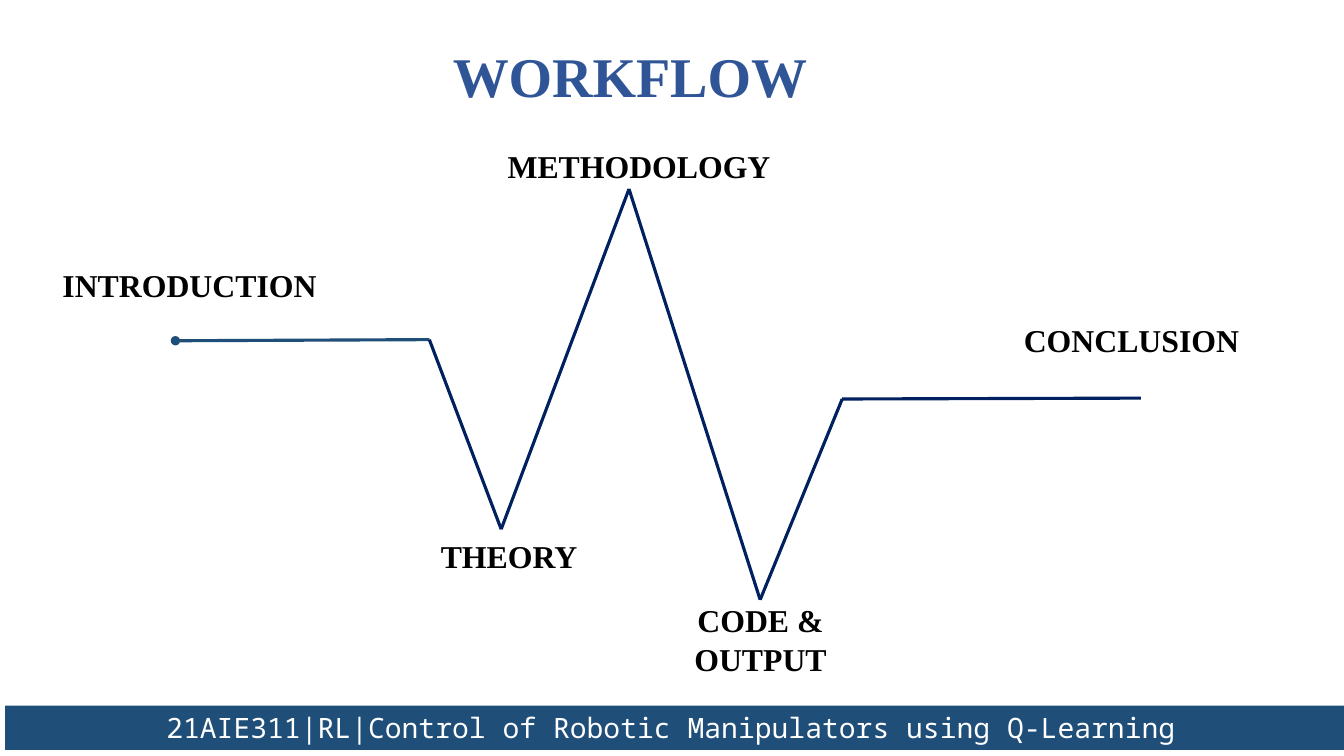
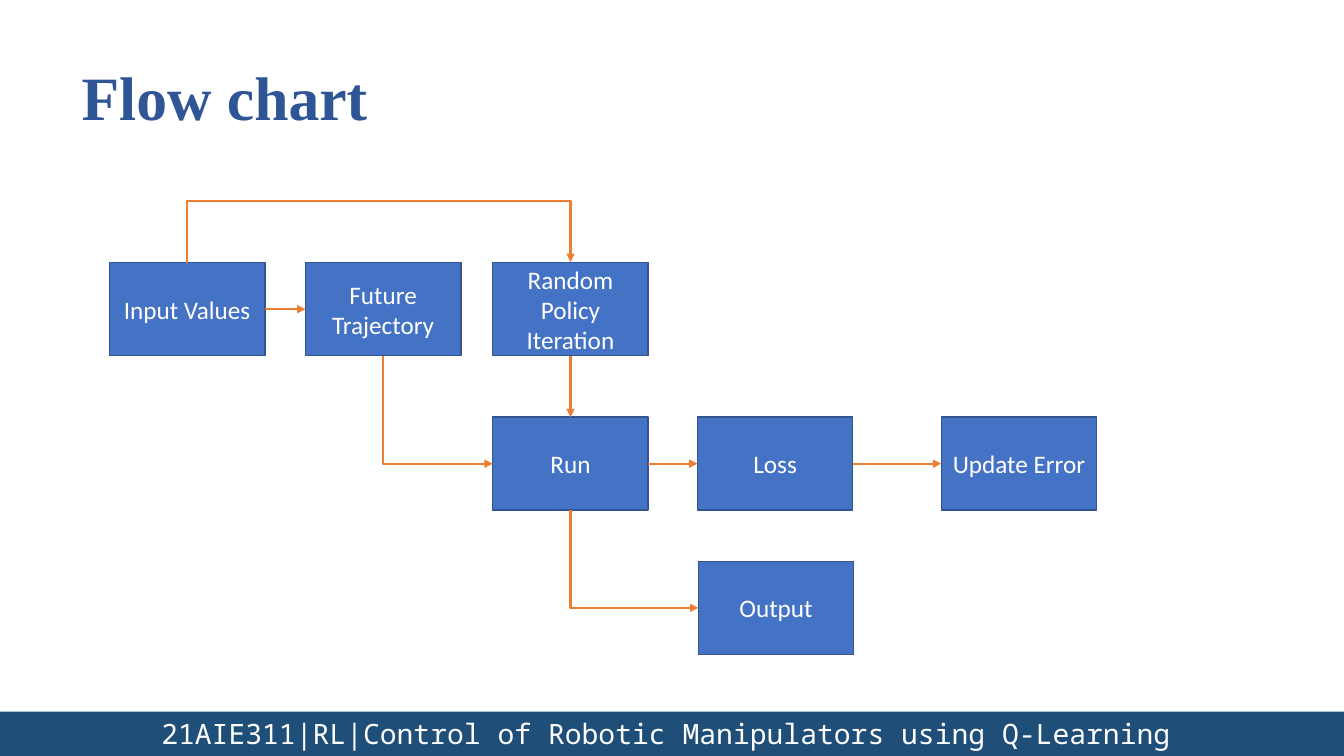
"""Build the workflow and flow chart slides of a Q-learning talk."""
from dataclasses import dataclass
from itertools import pairwise

from lxml import etree
from pptx import Presentation
from pptx import presentation as decks
from pptx.dml.color import RGBColor
from pptx.enum import shapes, text
from pptx.oxml import ns
from pptx.shapes.autoshape import Shape
from pptx.shapes.connector import Connector
from pptx.slide import Slide
from pptx.text.text import TextFrame
from pptx.util import Length, Pt

NAVY = RGBColor(0x00, 0x20, 0x60)
BAND_BLUE = RGBColor(0x1F, 0x4E, 0x79)
TITLE_BLUE = RGBColor(0x2F, 0x55, 0x97)
STEP_BLUE = RGBColor(0x44, 0x72, 0xC4)
STEP_EDGE = RGBColor(0x32, 0x54, 0x91)
ORANGE = RGBColor(0xED, 0x7D, 0x31)
BLACK = RGBColor(0, 0, 0)
WHITE = RGBColor(255, 255, 255)
SERIF, SANS, MONO = "Times New Roman", "Calibri", "Noto Sans Mono"

SLIDE_WIDTH, SLIDE_HEIGHT = Pt(960), Pt(540)
BAND_HEIGHT = Pt(31.7)
WIDE_INSET = 9.6
STEP_WIDTH, STEP_HEIGHT = Pt(111), Pt(66.4)
TOP, LEFT, BOTTOM, RIGHT = range(4)
ROUTE_RISE = 45
FOOTER = "21AIE311|RL|Control of Robotic Manipulators using Q-Learning"


@dataclass(frozen=True)
class Font:
    """A text style."""
    face: str
    size: float
    color: RGBColor
    bold: bool = False


@dataclass(frozen=True)
class Area:
    """A rectangle in points."""
    left: float
    top: float
    width: float
    height: float


@dataclass(frozen=True)
class Stage:
    """A workflow label and its place."""
    name: str
    area: Area


@dataclass(frozen=True)
class Step:
    """A flow chart box and its top left corner."""
    name: str
    left: float
    top: float


@dataclass(frozen=True)
class Link:
    """An arrow between the sides of two steps."""
    source: str
    source_side: int
    target: str
    target_side: int


STAGE_FONT = Font(SERIF, 22.7, BLACK, True)
STEP_FONT = Font(SANS, 18, WHITE)
FOOTER_FONT = Font(MONO, 20, WHITE)

STAGES = (
    Stage("INTRODUCTION", Area(25.9, 180, 218.9, 46.8)),
    Stage("THEORY", Area(231.1, 373.7, 265, 48.2)),
    Stage("METHODOLOGY", Area(350.6, 95, 211.7, 46.8)),
    Stage("CODE & OUTPUT", Area(483.8, 419.8, 118.8, 74.2)),
    Stage("CONCLUSION", Area(689, 219.6, 238.3, 46.8)),
)
PULSE = ((125.3, 243.4), (306.7, 242.6), (358, 378), (449.3, 135),
         (543, 428.4), (601.6, 285), (815, 284.4))

STEPS = (
    Step("Input Values", 78.2, 187.7),
    Step("Future Trajectory", 218.2, 187.7),
    Step("Random Policy Iteration", 352, 187.7),
    Step("Run", 352, 298),
    Step("Loss", 498.2, 298),
    Step("Update Error", 672.4, 298),
    Step("Output", 498.8, 401),
)
LINKS = (
    Link("Input Values", RIGHT, "Future Trajectory", LEFT),
    Link("Future Trajectory", BOTTOM, "Run", LEFT),
    Link("Run", RIGHT, "Loss", LEFT),
    Link("Loss", RIGHT, "Update Error", LEFT),
    Link("Run", BOTTOM, "Output", LEFT),
    Link("Input Values", TOP, "Random Policy Iteration", TOP),
    Link("Random Policy Iteration", BOTTOM, "Run", TOP),
)


def write(frame: TextFrame, words: str, font: Font, align: text.PP_ALIGN,
          anchor: text.MSO_ANCHOR = text.MSO_ANCHOR.TOP) -> None:
    """Put one styled run into a text frame."""
    frame.word_wrap = True
    frame.auto_size = text.MSO_AUTO_SIZE.NONE
    frame.vertical_anchor = anchor
    paragraph = frame.paragraphs[0]
    paragraph.alignment = align
    run = paragraph.add_run()
    run.text = words
    run.font.name = font.face
    run.font.size = Pt(font.size)
    run.font.bold = font.bold
    run.font.color.rgb = font.color


def widen_insets(frame: TextFrame) -> None:
    """Give all four sides of a frame the wide inset."""
    frame.margin_left = frame.margin_right = Pt(WIDE_INSET)
    frame.margin_top = frame.margin_bottom = Pt(WIDE_INSET)


def add_titled_slide(deck: decks.Presentation, words: str, area: Area,
                     size: float, align: text.PP_ALIGN) -> Slide:
    """Add a title-only slide with its heading in place."""
    slide = deck.slides.add_slide(deck.slide_layouts[5])
    heading = slide.shapes.title
    heading.left, heading.top = Pt(area.left), Pt(area.top)
    heading.width, heading.height = Pt(area.width), Pt(area.height)
    write(heading.text_frame, words, Font(SERIF, size, TITLE_BLUE, True), align)
    return slide


def add_block(slide: Slide, left: Length, top: Length, width: Length,
              height: Length, fill: RGBColor) -> Shape:
    """Add a flat filled rectangle without an outline."""
    block = slide.shapes.add_shape(
        shapes.MSO_SHAPE.RECTANGLE, left, top, width, height)
    block.shadow.inherit = False
    block.fill.solid()
    block.fill.fore_color.rgb = fill
    block.line.fill.background()
    return block


def add_footer(slide: Slide, left: float, top: float) -> None:
    """Add the course band at the foot of a slide."""
    band = add_block(slide, Pt(left), Pt(top), SLIDE_WIDTH - Pt(left),
                     BAND_HEIGHT, BAND_BLUE)
    band.text_frame.margin_left = Pt(115.2)
    write(band.text_frame, FOOTER, FOOTER_FONT, text.PP_ALIGN.LEFT)


def style_line(line: Connector, color: RGBColor, weight: float,
               head: str = "", tail: str = "") -> None:
    """Set colour, weight and line ends, and drop the shadow."""
    line.line.color.rgb = color
    line.line.width = Pt(weight)
    outline = line.element.spPr.find(ns.qn("a:ln"))
    for end, kind in (("a:headEnd", head), ("a:tailEnd", tail)):
        if kind:
            etree.SubElement(outline, ns.qn(end), type=kind)
    etree.SubElement(line.element.spPr, ns.qn("a:effectLst"))


def bend(line: Connector, loops: bool) -> None:
    """Turn an elbow so that it leaves its source vertically."""
    span = abs(line.end_x - line.begin_x)
    drop = max(abs(line.end_y - line.begin_y), Pt(1))
    middle_x = (line.begin_x + line.end_x) // 2
    middle_y = (line.begin_y + line.end_y) // 2
    line.left, line.top = middle_x - drop // 2, middle_y - span // 2
    line.width, line.height = drop, span
    frame = line.element.spPr.find(ns.qn("a:xfrm"))
    frame.set("rot", "5400000" if loops else "16200000")
    frame.set("flipH", "1")
    frame.set("flipV", "1" if loops else "0")
    route = line.element.spPr.find(ns.qn("a:prstGeom"))
    route.set("prst", "bentConnector3" if loops else "bentConnector2")
    if loops:
        rise = Pt(ROUTE_RISE) * 100000 // drop
        etree.SubElement(route.find(ns.qn("a:avLst")), ns.qn("a:gd"),
                         name="adj1", fmla=f"val {rise}")


def add_link(slide: Slide, link: Link, boxes: dict[str, Shape]) -> None:
    """Join two steps with an arrow."""
    straight = (link.source_side, link.target_side) in (
        (RIGHT, LEFT), (BOTTOM, TOP))
    kind = shapes.MSO_CONNECTOR
    arrow = slide.shapes.add_connector(
        kind.STRAIGHT if straight else kind.ELBOW, 0, 0, 0, 0)
    arrow.begin_connect(boxes[link.source], link.source_side)
    arrow.end_connect(boxes[link.target], link.target_side)
    if not straight:
        bend(arrow, link.source_side == link.target_side)
    style_line(arrow, ORANGE, 1.5, tail="triangle")


def add_step(slide: Slide, step: Step) -> Shape:
    """Add one flow chart box."""
    box = add_block(slide, Pt(step.left), Pt(step.top), STEP_WIDTH,
                    STEP_HEIGHT, STEP_BLUE)
    box.line.color.rgb = STEP_EDGE
    box.line.width = Pt(1)
    write(box.text_frame, step.name, STEP_FONT, text.PP_ALIGN.CENTER,
          text.MSO_ANCHOR.MIDDLE)
    return box


def add_stage(slide: Slide, stage: Stage) -> None:
    """Add one workflow label."""
    area = stage.area
    label = slide.shapes.add_textbox(
        Pt(area.left), Pt(area.top), Pt(area.width), Pt(area.height))
    widen_insets(label.text_frame)
    write(label.text_frame, stage.name, STAGE_FONT, text.PP_ALIGN.CENTER)


def build_workflow(deck: decks.Presentation) -> None:
    """Build the slide with the zigzag of stages."""
    slide = add_titled_slide(deck, "WORKFLOW", Area(271.4, 20.2, 357.1, 67.7),
                             40, text.PP_ALIGN.CENTER)
    widen_insets(slide.shapes.title.text_frame)
    for start, end in pairwise(PULSE):
        stroke = slide.shapes.add_connector(
            shapes.MSO_CONNECTOR.STRAIGHT, *map(Pt, start + end))
        first = start == PULSE[0]
        style_line(stroke, BAND_BLUE if first else NAVY, 2.25,
                   head="oval" if first else "")
    for stage in STAGES:
        add_stage(slide, stage)
    add_footer(slide, 3.6, 504)


def build_flow_chart(deck: decks.Presentation) -> None:
    """Build the slide with the boxes and arrows."""
    slide = add_titled_slide(deck, "Flow chart", Area(51.1, 38.2, 537.1, 60.5),
                             44, text.PP_ALIGN.LEFT)
    add_footer(slide, 0, 508.3)
    boxes = {step.name: add_step(slide, step) for step in STEPS}
    for link in LINKS:
        add_link(slide, link, boxes)


def main() -> None:
    """Build and save the deck."""
    deck = Presentation()
    deck.slide_width, deck.slide_height = SLIDE_WIDTH, SLIDE_HEIGHT
    build_workflow(deck)
    build_flow_chart(deck)
    deck.save("out.pptx")


if __name__ == "__main__":
    main()
